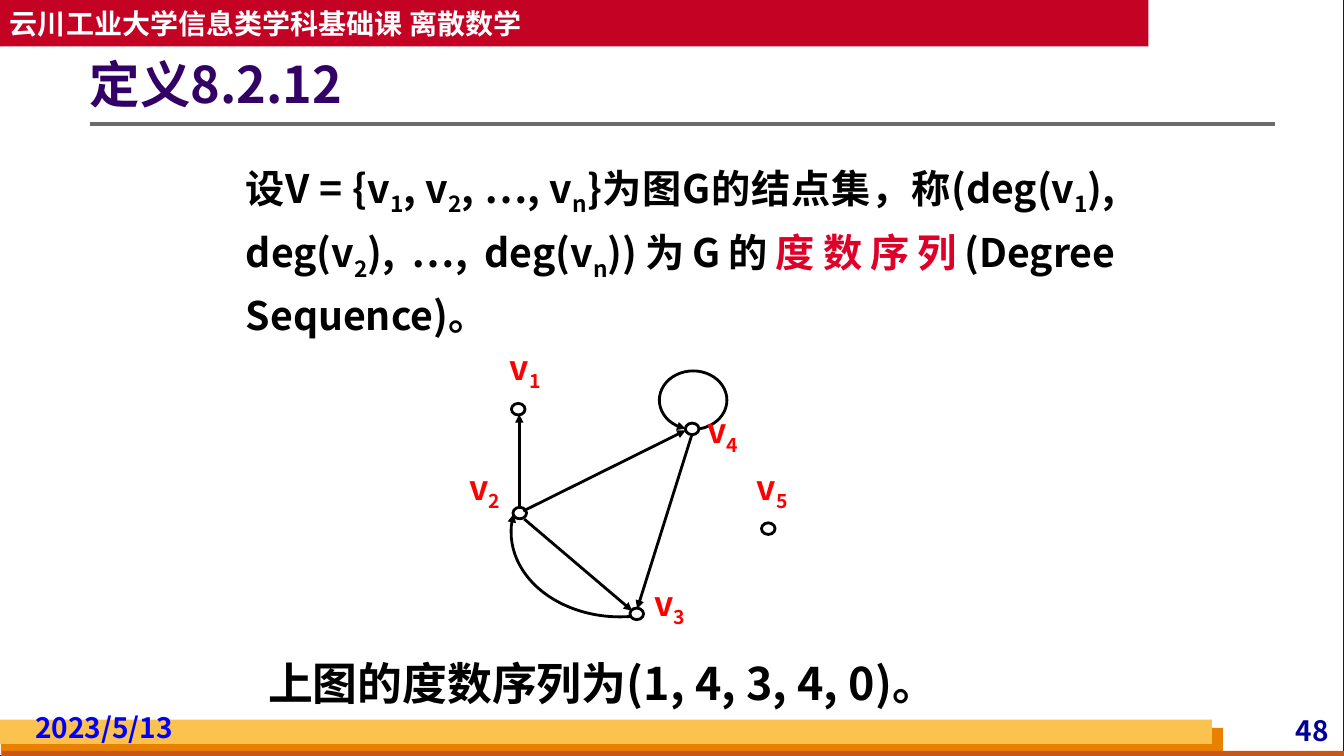
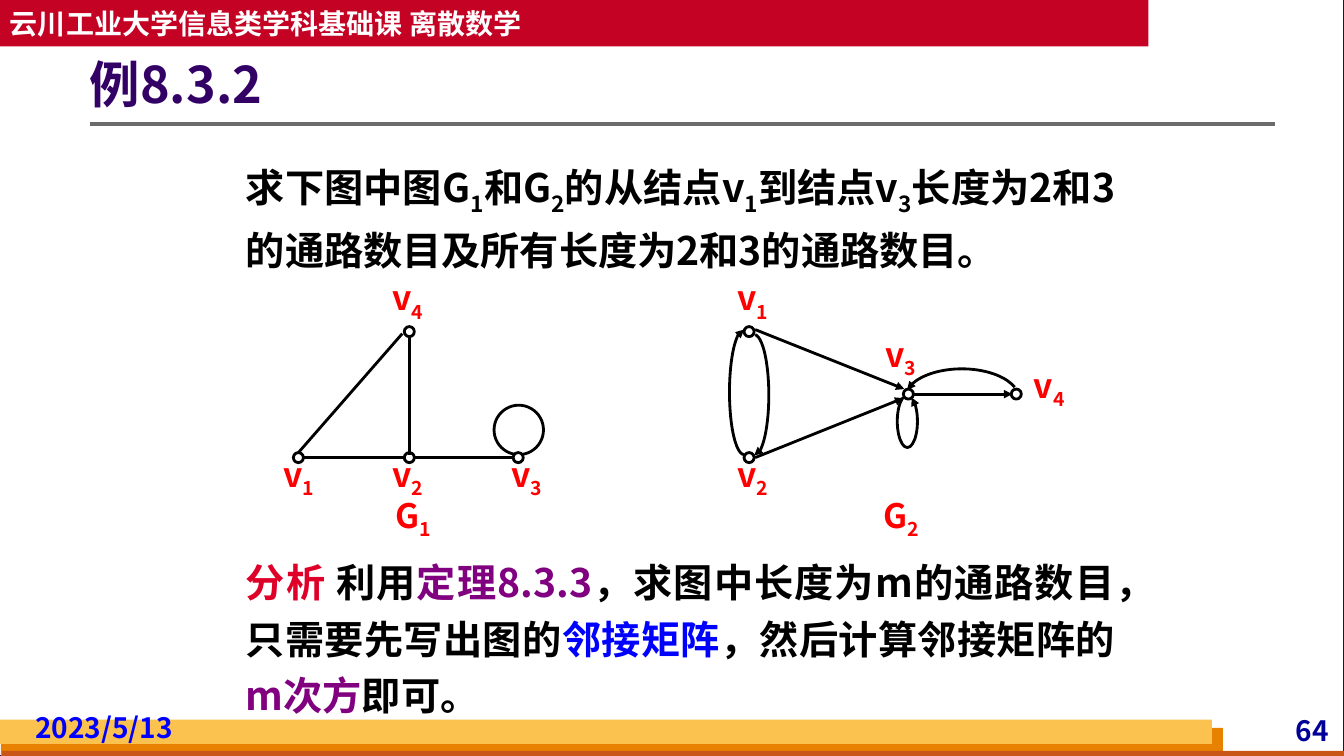
import math
from typing import NamedTuple

import lxml.etree
import pptx
import pptx.dml.color
import pptx.enum.shapes
import pptx.enum.text
import pptx.oxml.ns
import pptx.util

qn = pptx.oxml.ns.qn
Shape = pptx.enum.shapes.MSO_SHAPE
Align = pptx.enum.text.PP_ALIGN
Anchor = pptx.enum.text.MSO_ANCHOR

COLUMNS, ROWS = 133.3, 75
CELL = pptx.util.Inches(0.1)
FONT = "Noto Sans CJK SC"
BLACK, WHITE, RED, CRIMSON = "000000", "FFFFFF", "FF0000", "DF0029"
BLUE, NAVY, VIOLET, PURPLE = "0000FF", "000099", "330066", "800080"
STROKE = 2


class Box(NamedTuple):
    column: float
    row: float
    columns: float
    rows: float


class Span(NamedTuple):
    text: str
    color: str = BLACK


class Style(NamedTuple):
    size: float
    color: str = BLACK
    align: Align = Align.LEFT
    spacing: float = 1.0
    insets: tuple[float, float, float, float] = (1, 0.5, 1, 0.5)
    anchor: Anchor = Anchor.TOP


class Band(NamedTuple):
    box: Box
    color: str


class Edge(NamedTuple):
    start: tuple[float, float]
    stop: tuple[float, float]


class Arc(NamedTuple):
    center: tuple[float, float]
    radii: tuple[float, float]
    start: tuple[float, float]
    stop: tuple[float, float]
    arrow_at: str = "tailEnd"


class Graph(NamedTuple):
    vertices: list[tuple[float, float]]
    vertex_size: tuple[float, float]
    labels: list[tuple[str, float, float]]
    label_size: tuple[float, float]
    edges: list[Edge]
    arcs: list[Arc] = []
    loops: list[Box] = []
    directed: bool = True


class Passage(NamedTuple):
    box: Box
    spans: list[Span]
    style: Style


class Page(NamedTuple):
    title: str
    number: int
    passages: list[Passage]
    graphs: list[Graph]


TIGHT = (0.4, 0, 0.4, 0)
BANNER = Style(20, WHITE, anchor=Anchor.MIDDLE)
DATE = Style(20, BLUE, insets=TIGHT)
NUMBER = Style(20, NAVY, Align.RIGHT, insets=TIGHT)
TITLE = Style(36, VIOLET, spacing=0.9, insets=(0, 0.5, 1, 0.5), anchor=Anchor.MIDDLE)
BODY = Style(28, align=Align.JUSTIFY, spacing=1.2)
ANSWER = Style(32, spacing=1.2)
LABEL = Style(24, RED, Align.CENTER, insets=(0, 0, 0, 0))

TITLE_BOX = Box(8.9, 3.6, 117.6, 10.1)
BANNER_BOX = Box(0, 0, 113.9, 4.6)
BANDS = [
    Band(Box(0.1, 72.2, 121.2, 2.8), "E88000"),
    Band(Box(0.2, 74.5, 133.3, 0.8), "C95616"),
    Band(Box(0, 71.4, 120.2, 2.4), "FCC24F"),
]

PAGES = [
    Page("定义8.2.12", 48, [
        Passage(Box(23.4, 14.7, 88.2, 17.8), [
            Span("设V = {v_1, v_2, …, v_n}为图G的结点集，称(deg(v_1), deg(v_2), …, deg(v_n))为G的"),
            Span("度数序列", CRIMSON),
            Span("(Degree Sequence)。"),
        ], BODY),
        Passage(Box(25.6, 63.5, 76.5, 6.6),
                [Span("上图的度数序列为(1, 4, 3, 4, 0)。")], ANSWER),
    ], [
        Graph(
            [(51.4, 40.6), (51.55, 50.9), (63.15, 60.9), (68.65, 42.55), (76.2, 52.45)],
            (1.35, 1.15),
            [("v_1", 49.4, 34.4), ("v_2", 45.4, 46.3), ("v_3", 63.7, 57.8),
             ("v_4", 69, 40.7), ("v_5", 73.9, 46.3)],
            (5.4, 5.7),
            [Edge((52, 51.5), (62.7, 60.6)), Edge((51.9, 50.7), (68, 42.7)),
             Edge((68.6, 43.2), (63.2, 60.4)), Edge((51.5, 50.3), (51.5, 41.1))],
            [Arc((61.5, 52.8), (10.8, 8.4), (62.5, 61.2), (51, 51)),
             Arc((68.75, 39.7), (3.35, 2.9), (68, 42.5), (69.4, 42.6), "headEnd")],
        ),
    ]),
    Page("例8.3.2", 64, [
        Passage(Box(23.4, 14.7, 88.2, 11.6), [
            Span("求下图中图G_1和G_2的从结点v_1到结点v_3长度为2和3的通路数目及所有长度为2和3的通路数目。"),
        ], BODY),
        Passage(Box(23.4, 54, 88.2, 17.8), [
            Span("分析 ", CRIMSON), Span("利用"), Span("定理8.3.3", PURPLE),
            Span("，求图中长度为m的通路数目，只需要先写出图的"),
            Span("邻接矩阵", BLUE), Span("，然后计算邻接矩阵的"),
            Span("m次方", PURPLE), Span("即可。"),
        ], BODY),
    ], [
        Graph(
            [(29.6, 45.4), (40.6, 45.4), (40.6, 32.9), (51.4, 45.4)],
            (1, 1),
            [("v_4", 38.5, 27.5), ("v_2", 38.5, 45), ("v_1", 27.7, 45),
             ("v_3", 50.3, 45), ("G_1", 39, 49.1)],
            (3.9, 4.9),
            [Edge((29.6, 44.9), (39.9, 33.1)), Edge((41, 45.4), (50.9, 45.4)),
             Edge((30.1, 45.4), (40, 45.4)), Edge((40.6, 45.1), (40.6, 33.3))],
            loops=[Box(49, 40.2, 4.9, 4.9)],
            directed=False,
        ),
        Graph(
            [(74.3, 32.9), (74.3, 45.4), (100.8, 39.1), (90.1, 39.1)],
            (1, 1),
            [("v_1", 72.7, 27.5), ("v_4", 102.1, 36.2), ("v_2", 72.7, 45),
             ("v_3", 87.4, 33.1), ("G_2", 87.4, 49.1)],
            (3.9, 4.9),
            [Edge((74.9, 45.4), (89.6, 39.5)), Edge((74.9, 32.7), (89.7, 38.6)),
             Edge((90.6, 39.1), (100.4, 39.1))],
            [Arc((73.8, 38.9), (1.45, 6.2), (73.8, 45.1), (73.8, 32.7)),
             Arc((74.8, 39.2), (1.45, 6), (74.9, 33.3), (74.8, 45.2)),
             Arc((95.4, 39.6), (5.7, 3), (90, 38.7), (100.7, 38.4), "headEnd"),
             Arc((90, 41.8), (1, 2.6), (90.4, 39.5), (89.6, 39.5), "headEnd")],
        ),
    ]),
]


def grid(cells: float) -> int:
    return round(cells * CELL)


def rgb(value: str) -> pptx.dml.color.RGBColor:
    return pptx.dml.color.RGBColor.from_string(value)


def stroke(figure, color: str, width: float) -> None:
    figure.line.color.rgb = rgb(color)
    figure.line.width = pptx.util.Pt(width)


def add_arrowhead(figure, end: str) -> None:
    outline = figure.element.find(".//" + qn("a:ln"))
    lxml.etree.SubElement(outline, qn("a:" + end), type="triangle")


def draw_shape(slide, preset: Shape, box: Box, fill: str = "",
               outline: str = "", width: float = STROKE):
    figure = slide.shapes.add_shape(preset, *map(grid, box))
    figure.shadow.inherit = False
    if fill:
        figure.fill.solid()
        figure.fill.fore_color.rgb = rgb(fill)
    else:
        figure.fill.background()
    if outline:
        stroke(figure, outline, width)
    else:
        figure.line.fill.background()
    return figure


def draw_line(slide, edge: Edge, color: str = BLACK, width: float = STROKE):
    line = slide.shapes.add_connector(
        pptx.enum.shapes.MSO_CONNECTOR.STRAIGHT, *map(grid, edge.start + edge.stop))
    stroke(line, color, width)
    lxml.etree.SubElement(line.element.spPr, qn("a:effectLst"))
    return line


def write(holder, spans: list[Span], style: Style) -> None:
    frame = holder.text_frame
    frame.word_wrap = True
    frame.auto_size = pptx.enum.text.MSO_AUTO_SIZE.NONE
    frame.vertical_anchor = style.anchor
    (frame.margin_left, frame.margin_top,
     frame.margin_right, frame.margin_bottom) = map(grid, style.insets)
    paragraph = frame.paragraphs[0]
    paragraph.alignment = style.align
    paragraph.line_spacing = style.spacing
    paragraph.font.name = FONT
    paragraph.font.size = pptx.util.Pt(style.size)
    paragraph.font.bold = True
    paragraph.font.color.rgb = rgb(style.color)
    for span in spans:
        plain, *marked = span.text.split("_")
        pieces = [(plain, False)]
        for part in marked:
            pieces += [(part[0], True), (part[1:], False)]
        for text, lowered in pieces:
            if text:
                run = paragraph.add_run()
                run.text = text
                if span.color != style.color:
                    run.font.color.rgb = rgb(span.color)
                if lowered:
                    run.font._element.set("baseline", "-25000")
    for latin in list(holder.element.iter(qn("a:latin"))):
        latin.addnext(latin.makeelement(qn("a:ea"), {"typeface": FONT}))


def draw_text(slide, box: Box, spans: list[Span], style: Style) -> None:
    write(slide.shapes.add_textbox(*map(grid, box)), spans, style)


def draw_arc(slide, arc: Arc) -> None:
    (x, y), (across, down) = arc.center, arc.radii
    curve = draw_shape(slide, Shape.ARC,
                       Box(x - across, y - down, 2 * across, 2 * down), outline=BLACK)
    for index, (column, row) in enumerate((arc.start, arc.stop)):
        degrees = math.degrees(math.atan2(row - y, column - x)) % 360
        curve.adjustments[index] = degrees * 0.6
    add_arrowhead(curve, arc.arrow_at)


def draw_graph(slide, graph: Graph) -> None:
    for loop in graph.loops:
        draw_shape(slide, Shape.OVAL, loop, WHITE, BLACK)
    width, height = graph.vertex_size
    for x, y in graph.vertices:
        draw_shape(slide, Shape.OVAL,
                   Box(x - width / 2, y - height / 2, width, height), WHITE, BLACK)
    for edge in graph.edges:
        line = draw_line(slide, edge)
        if graph.directed:
            add_arrowhead(line, "tailEnd")
    for arc in graph.arcs:
        draw_arc(slide, arc)
    for name, column, row in graph.labels:
        draw_text(slide, Box(column, row, *graph.label_size), [Span(name, RED)], LABEL)


def furnish_layout(layout, slide) -> None:
    layout.background.fill.solid()
    layout.background.fill.fore_color.rgb = rgb("D8DADA")
    for placeholder in list(layout.placeholders):
        if placeholder.placeholder_format.idx:
            layout.shapes.element.remove(placeholder.element)
    shared = [draw_shape(slide, Shape.RECTANGLE, Box(0, 0, COLUMNS, ROWS), WHITE, VIOLET, 0.75)]
    shared += [draw_shape(slide, Shape.RECTANGLE, band.box, band.color) for band in BANDS]
    shared.append(draw_line(slide, Edge((8.9, 12.3), (126.5, 12.3)), "6B6B6B", 3))
    banner = draw_shape(slide, Shape.RECTANGLE, BANNER_BOX, "C30224")
    write(banner, [Span("云川工业大学信息类学科基础课 离散数学", WHITE)], BANNER)
    for part in shared + [banner]:
        layout.shapes.element.append(part.element)


def draw_page(slide, page: Page) -> None:
    title = slide.shapes.title
    title.left, title.top, title.width, title.height = map(grid, TITLE_BOX)
    write(title, [Span(page.title, VIOLET)], TITLE)
    draw_text(slide, Box(116, 70.8, 16.2, 3.3), [Span(str(page.number), NAVY)], NUMBER)
    draw_text(slide, Box(3.1, 70.5, 22.1, 3.3), [Span("2023/5/13", BLUE)], DATE)
    for passage in page.passages:
        draw_text(slide, *passage)
    for graph in page.graphs:
        draw_graph(slide, graph)


def main() -> None:
    deck = pptx.Presentation()
    deck.slide_width, deck.slide_height = grid(COLUMNS), grid(ROWS)
    layout = deck.slide_layouts[5]
    slides = [deck.slides.add_slide(layout) for _ in PAGES]
    furnish_layout(layout, slides[0])
    for slide, page in zip(slides, PAGES):
        draw_page(slide, page)
    deck.save("out.pptx")


if __name__ == "__main__":
    main()
